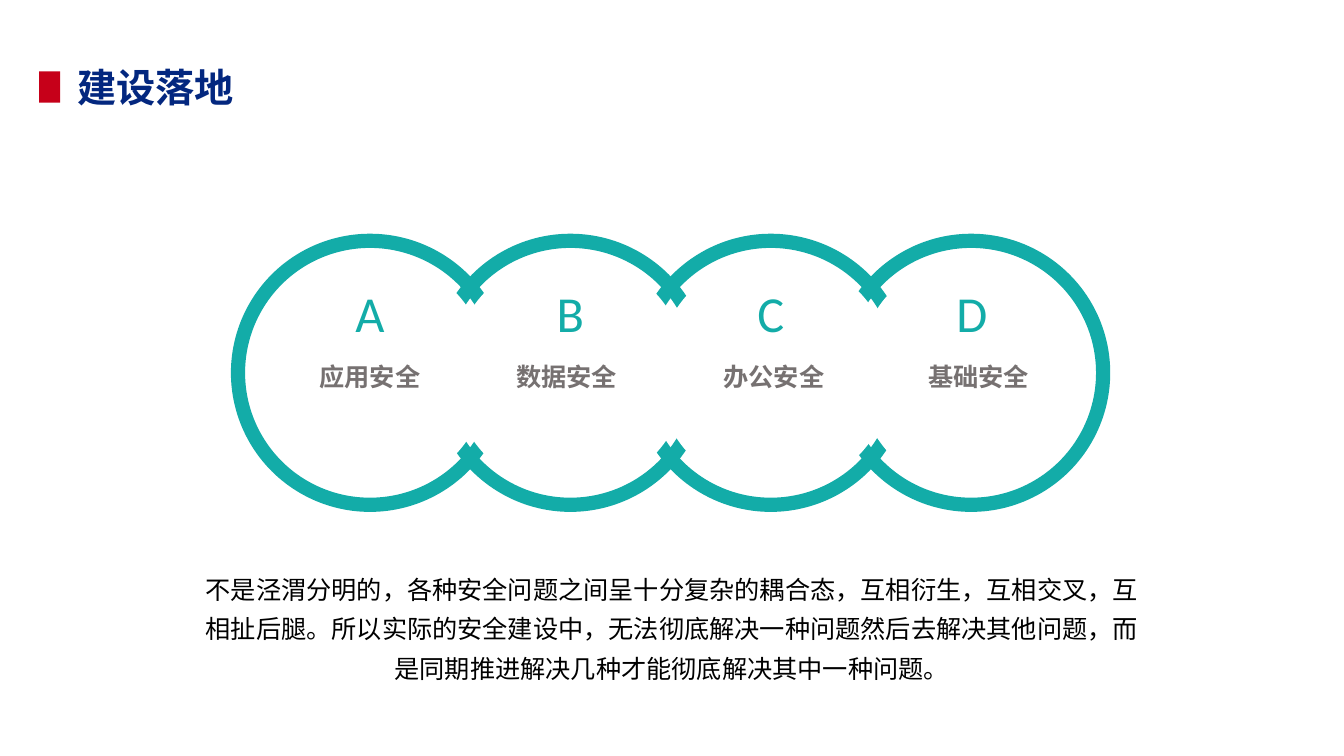
"""Build a slide with four linked rings naming the areas of security work."""
from pptx import Presentation, util as u
from pptx.dml.color import RGBColor
from pptx.enum import shapes, text
from pptx.oxml.ns import qn

HUES = {"navy": "03277F", "red": "C60019", "teal": "13ACA8",
        "grey": "767171", "black": "000000", "white": "FFFFFF"}
HAN = "Noto Sans CJK SC"

deck = Presentation()
deck.slide_width, deck.slide_height = u.Cm(33.87), u.Cm(19.05)
slide = deck.slides.add_slide(deck.slide_layouts[6])


def put_text(words, *, box, size, hue, font="Calibri", bold=False, wrap=True,
             anchor=text.MSO_ANCHOR.TOP, lines=None):
    frame = slide.shapes.add_textbox(*map(u.Cm, box)).text_frame
    frame.word_wrap = wrap
    frame.auto_size = text.MSO_AUTO_SIZE.SHAPE_TO_FIT_TEXT
    frame.vertical_anchor = anchor
    para = frame.paragraphs[0]
    para.alignment = text.PP_ALIGN.CENTER
    para.line_spacing = lines
    run = para.add_run()
    run.text = words
    run.font.name, run.font.size, run.font.bold = font, u.Pt(size), bold
    run.font.color.rgb = RGBColor.from_string(HUES[hue])
    east = run.font._element.makeelement(qn("a:ea"), {"typeface": HAN})
    run.font._element.find(qn("a:latin")).addnext(east)


def put_shape(kind, box, hue):
    shape = slide.shapes.add_shape(kind, *map(u.Cm, box))
    shape.shadow.inherit = False
    shape.fill.solid()
    shape.fill.fore_color.rgb = RGBColor.from_string(HUES[hue])
    shape.line.fill.background()
    return shape


put_text("建设落地", box=(1.5, 1.47, 4.83, 1.45), size=28, hue="navy",
         font=HAN, bold=True)
put_shape(shapes.MSO_SHAPE.RECTANGLE, (0.99, 1.8, 0.53, 0.79), "red")

left, step, ring = 5.82, 5.05, 7.01
areas = [("A", "应用安全", 6.38, 7.8), ("B", "数据安全", 11.4, 12.75),
         ("C", "办公安全", 16.56, 17.98), ("D", "基础安全", 21.62, 23.14)]

for i in (3, 0, 1, 2):
    donut = put_shape(shapes.MSO_SHAPE.DONUT,
                      (left + i * step, 5.89, ring, ring), "teal")
    donut.adjustments[0] = 0.051

for mark, name, disc, label in areas:
    put_shape(shapes.MSO_SHAPE.OVAL, (disc, 6.45, 5.92, 5.92), "white")

for i, (mark, name, disc, label) in enumerate(areas):
    put_text(mark, box=(left + i * step + ring / 2 - 0.62, 6.96, 1.24, 1.8),
             size=36, hue="teal", wrap=False, anchor=text.MSO_ANCHOR.MIDDLE)
    put_text(name, box=(label, 8.99, 3.05, 1.02), size=18, hue="grey",
             bold=True, wrap=False)

put_text("不是泾渭分明的，各种安全问题之间呈十分复杂的耦合态，互相衍生，互相交叉，"
         "互相扯后腿。所以实际的安全建设中，无法彻底解决一种问题然后去解决其他问题，"
         "而是同期推进解决几种才能彻底解决其中一种问题。",
         box=(4.85, 14.12, 24.16, 3.25), size=18, hue="black", lines=1.3)

deck.save("out.pptx")
